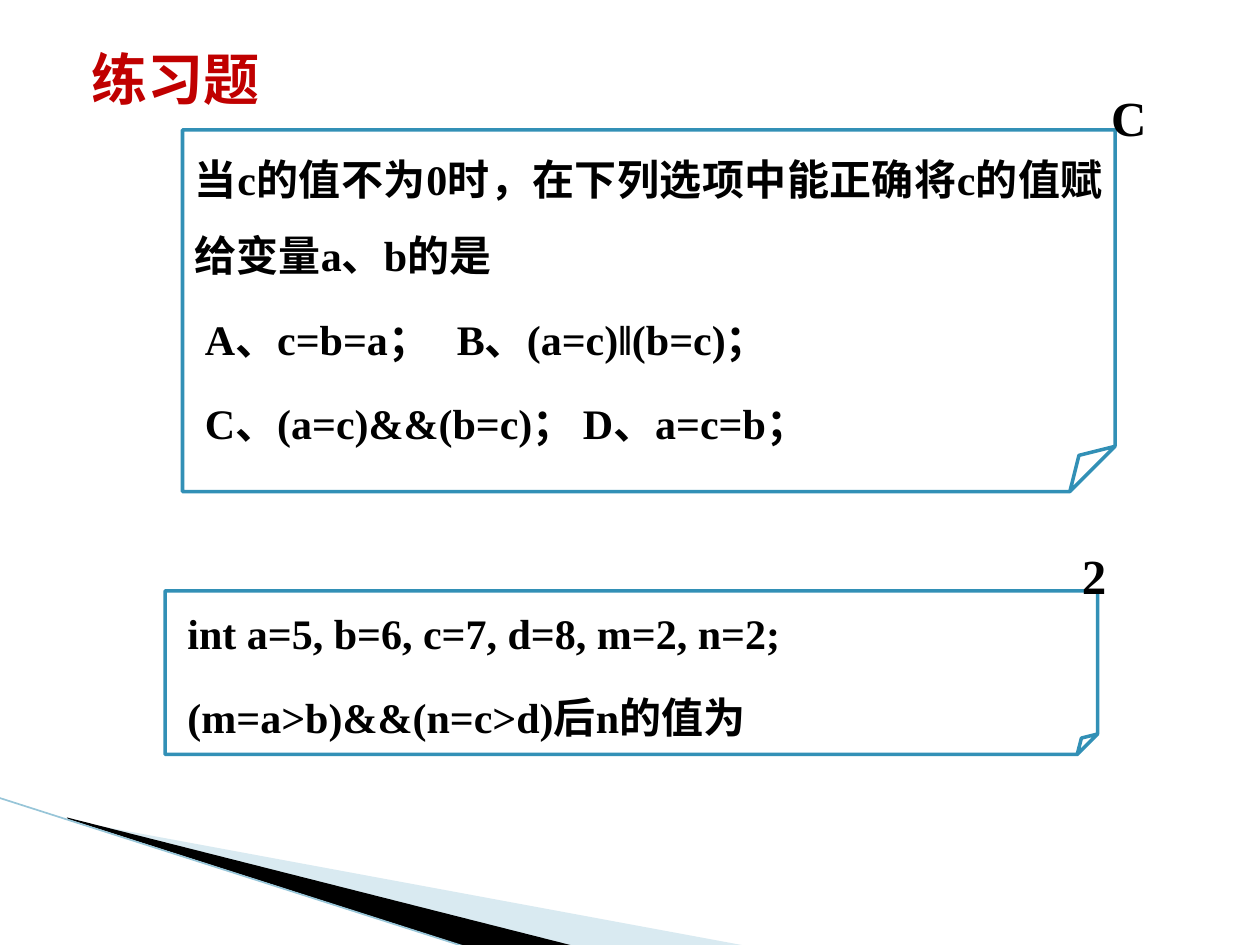
from pptx import Presentation
from pptx import util as u
from pptx.dml.color import RGBColor
from pptx.enum import shapes, text
from pptx.oxml.ns import qn
from lxml import etree

LATIN = "Times New Roman"
CHINESE = "Noto Sans CJK SC"


def colour(hex_code):
    return RGBColor.from_string(hex_code)


def set_font(para, size, hex_code="000000", name=LATIN):
    font = para.font
    font.size, font.bold, font.name = u.Pt(size), True, name
    font.color.rgb = colour(hex_code)
    defaults = para._p.pPr.find(qn("a:defRPr"))
    etree.SubElement(defaults, qn("a:ea"), typeface=CHINESE)


def set_indent_and_tab(para, indent, tab):
    properties = para._p.get_or_add_pPr()
    properties.set("marL", str(u.Cm(indent)))
    properties.set("indent", "0")
    if tab:
        tabs = etree.SubElement(properties, qn("a:tabLst"))
        etree.SubElement(tabs, qn("a:tab"), pos=str(u.Cm(tab)), algn="l")


def set_fold(note, share):
    geometry = note._element.spPr.find(qn("a:prstGeom"))
    guides = geometry.find(qn("a:avLst"))
    if guides is None:
        guides = etree.SubElement(geometry, qn("a:avLst"))
    etree.SubElement(guides, qn("a:gd"), name="adj",
                     fmla=f"val {round(share * 100000)}")


def add_wedge(page, points, hex_code, opacity=None):
    corners = [(u.Cm(x), u.Cm(y)) for x, y in points]
    builder = page.shapes.build_freeform(*corners[0])
    builder.add_line_segments(corners[1:], close=True)
    wedge = builder.convert_to_shape()
    wedge.shadow.inherit = False
    wedge.line.fill.background()
    wedge.fill.solid()
    wedge.fill.fore_color.rgb = colour(hex_code)
    if opacity:
        fill = wedge._element.spPr.find(qn("a:solidFill"))
        etree.SubElement(fill[0], qn("a:alpha"), val=str(opacity * 1000))


def add_edge(page, start, end):
    edge = page.shapes.add_connector(
        shapes.MSO_CONNECTOR.STRAIGHT, *(u.Cm(n) for n in start + end))
    edge.line.color.rgb = colour("97C5D8")
    edge.line.width = u.Pt(0.95)
    etree.SubElement(edge._element.spPr, qn("a:effectLst"))


def add_question(page, left, top, height, lines):
    """Draw a folded note; each line is (wording, indent, tab stop)."""
    note = page.shapes.add_shape(
        shapes.MSO_SHAPE.FOLDED_CORNER,
        u.Cm(left), u.Cm(top), u.Cm(18.8), u.Cm(height))
    set_fold(note, 0.125)
    note.shadow.inherit = False
    note.fill.background()
    note.line.color.rgb = colour("3290B6")
    note.line.width = u.Pt(2)
    frame = note.text_frame
    frame.word_wrap = True
    frame.vertical_anchor = text.MSO_ANCHOR.MIDDLE
    for index, (wording, indent, tab) in enumerate(lines):
        para = frame.add_paragraph() if index else frame.paragraphs[0]
        para.text = wording
        set_indent_and_tab(para, indent, tab)
        para.alignment = text.PP_ALIGN.JUSTIFY
        para.line_spacing = 1.5
        if index:
            para.space_before = u.Pt(4.8)
        set_font(para, 24)


def add_answer(page, left, top, wording):
    box = page.shapes.add_textbox(u.Cm(left), u.Cm(top), u.Cm(1.22), u.Cm(1.45))
    frame = box.text_frame
    frame.word_wrap = True
    frame.auto_size = text.MSO_AUTO_SIZE.SHAPE_TO_FIT_TEXT
    para = frame.paragraphs[0]
    para.text = wording
    set_font(para, 28)


def set_title(page, wording):
    title = page.shapes.title
    title.left, title.top = u.Cm(1.6), u.Cm(0.64)
    title.width, title.height = u.Cm(6.22), u.Cm(1.85)
    frame = title.text_frame
    frame.vertical_anchor = text.MSO_ANCHOR.MIDDLE
    para = frame.paragraphs[0]
    para.text = wording
    para.alignment = text.PP_ALIGN.LEFT
    set_font(para, 32, "C00000", CHINESE)


def main():
    deck = Presentation()
    deck.slide_width, deck.slide_height = u.Cm(25.4), u.Cm(19.05)
    page = deck.slides.add_slide(deck.slide_layouts[5])

    # Corner decoration
    add_wedge(page, [(1.4, 16.54), (15.11, 19.08), (11.58, 19.08), (1.4, 16.51)],
              "A0CBDC", 40)
    add_wedge(page, [(1.35, 16.48), (11.61, 19.08), (9.45, 19.1), (1.37, 16.51)],
              "000000")
    add_edge(page, (-0.03, 16.08), (9.42, 19.1))

    set_title(page, "练习题")

    # Multiple choice question
    add_question(page, 3.68, 2.62, 7.29, [
        ("当c的值不为0时，在下列选项中能正确将c的值赋给变量a、b的是", 0, None),
        ("A、c=b=a；\tB、(a=c)‖(b=c)；", 0.2, 8.97),
        ("C、(a=c)&&(b=c)；\tD、a=c=b；", 0.2, 9.25),
    ])
    add_answer(page, 22.15, 1.63, "C")

    # Evaluation question
    add_question(page, 3.33, 11.91, 3.3, [
        ("int a=5, b=6, c=7, d=8, m=2, n=2;", 0.2, None),
        ("(m=a>b)&&(n=c>d)后n的值为", 0.2, None),
    ])
    add_answer(page, 21.56, 10.87, "2")

    deck.save("out.pptx")


if __name__ == "__main__":
    main()
